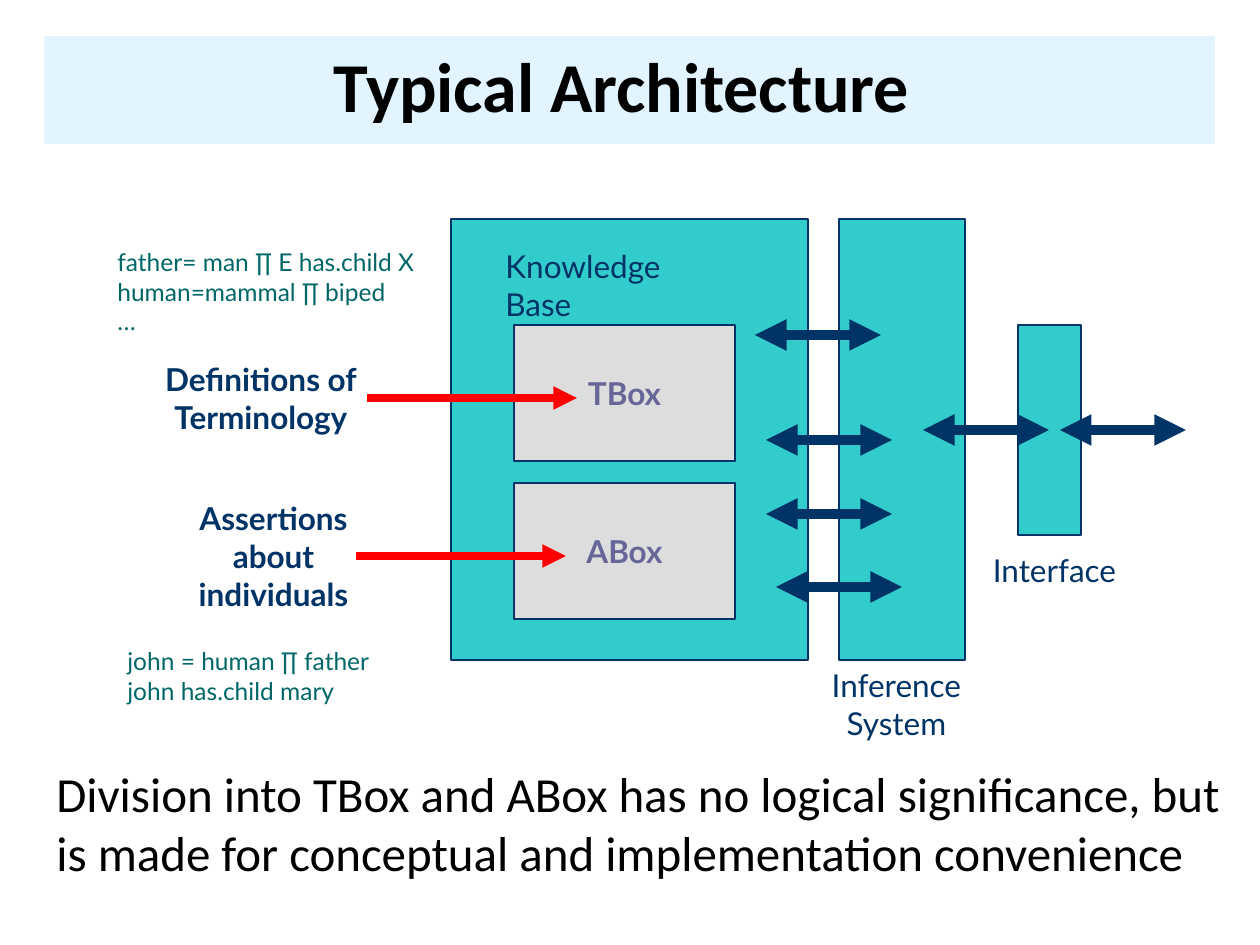
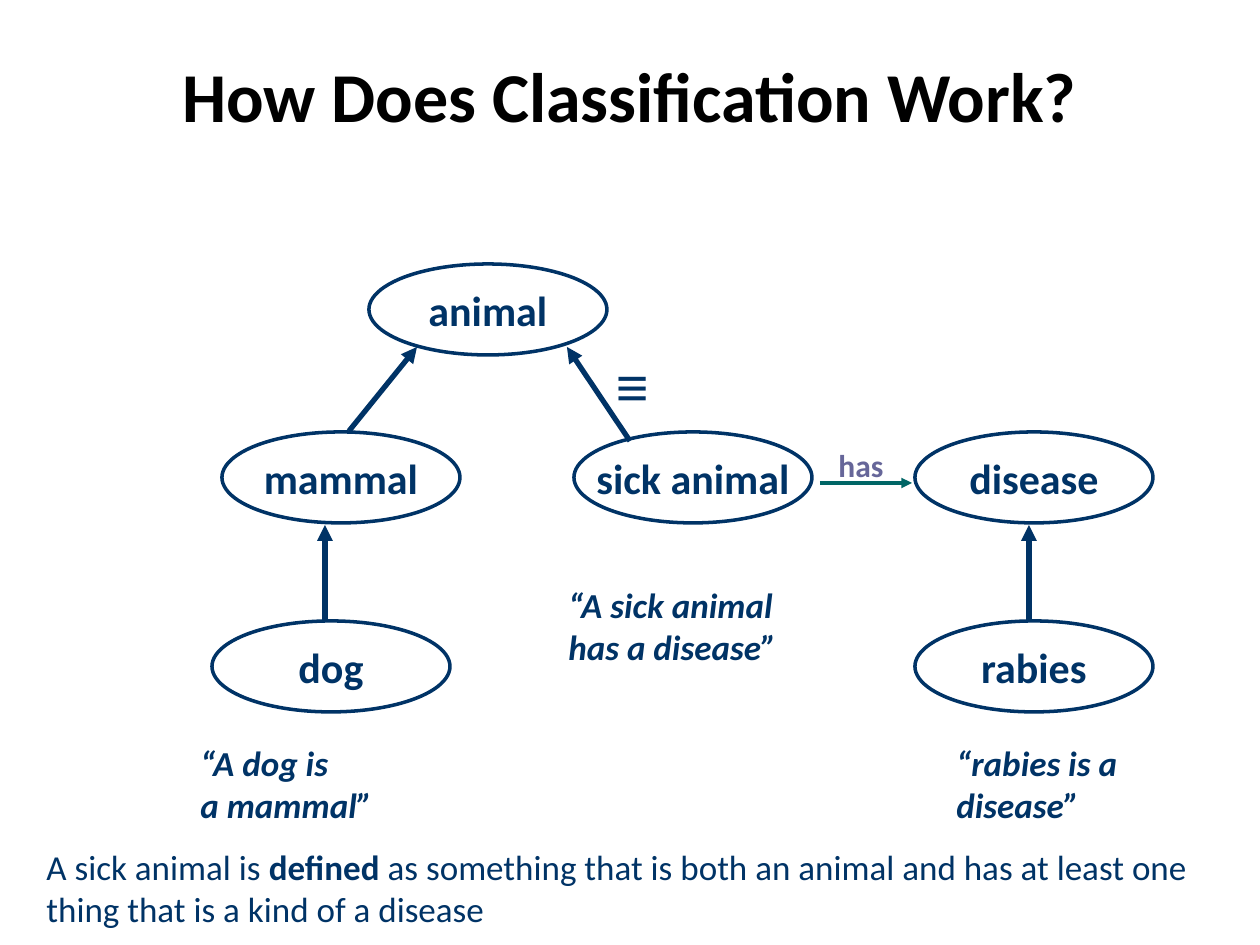
import pptx
import pptx.util
import pptx.dml.color
import pptx.enum.shapes
import pptx.enum.text
import pptx.oxml.ns
from lxml import etree


class Theme:
    navy = "003366"
    teal = "33CCCC"
    green = "006666"
    violet = "666699"
    red = "FF0000"
    grey = "DDDDDD"
    white = "FFFFFF"
    black = "000000"
    band = "E1F4FF"
    body = "Calibri"
    draw = "Lato"
    sign = "Arial"
    title, lead, symbol, node, quote, label, code = 40, 28, 32, 24, 20, 18, 14


px = pptx.util.Inches(1) // 126
rgb = pptx.dml.color.RGBColor.from_string
forms = pptx.enum.shapes.MSO_SHAPE
anchor = pptx.enum.text.MSO_ANCHOR
left, center = pptx.enum.text.PP_ALIGN.LEFT, pptx.enum.text.PP_ALIGN.CENTER


def write(shape, text, size, color, font, bold=False, align=left, slant=False):
    frame = shape.text_frame
    frame.word_wrap = True
    par = frame.paragraphs[0]
    for index, part in enumerate(text.split("**")):
        for row, line in enumerate(part.split("\n")):
            if row:
                par.add_line_break()
            run = par.add_run()
            run.text = line
            if index % 2:
                run.font.bold = True
    par.alignment = align
    par.font.size = pptx.util.Pt(size)
    par.font.name = font
    par.font.bold = bold
    par.font.italic = slant
    par.font.color.rgb = rgb(color)
    return par


def arrow(slide, x1, y1, x2, y2, color, width, ends=("tailEnd",)):
    line = slide.shapes.add_connector(
        pptx.enum.shapes.MSO_CONNECTOR.STRAIGHT, x1 * px, y1 * px, x2 * px, y2 * px)
    line.line.color.rgb = rgb(color)
    line.line.width = pptx.util.Pt(width)
    stroke = line.line._get_or_add_ln()
    for end in ends:
        etree.SubElement(stroke, pptx.oxml.ns.qn("a:" + end), type="triangle")
    etree.SubElement(line._element.spPr, pptx.oxml.ns.qn("a:effectLst"))


deck = pptx.Presentation()
deck.slide_width, deck.slide_height = 1260 * px, 945 * px

slides = []
for text, place in (("Typical Architecture ", anchor.MIDDLE),
                    ("How Does Classification Work?", anchor.BOTTOM)):
    slide = deck.slides.add_slide(deck.slide_layouts[5])
    title = slide.shapes.title
    title.left, title.top, title.width, title.height = 44 * px, 36 * px, 1171 * px, 108 * px
    par = write(title, text, Theme.title, Theme.black, Theme.body, True, center)
    par.line_spacing = 0.9
    title.text_frame.auto_size = pptx.enum.text.MSO_AUTO_SIZE.NONE
    title.text_frame.vertical_anchor = place
    slides.append(slide)
system, classes = slides

system.shapes.title.fill.solid()
system.shapes.title.fill.fore_color.rgb = rgb(Theme.band)

for x, y, wide, high, fill, text in (
        (451, 219, 357, 441, Theme.teal, ""),
        (514, 325, 221, 136, Theme.grey, "TBox"),
        (514, 483, 221, 136, Theme.grey, "ABox"),
        (839, 219, 126, 441, Theme.teal, ""),
        (1018, 325, 63, 210, Theme.teal, "")):
    box = system.shapes.add_shape(forms.RECTANGLE, x * px, y * px, wide * px, high * px)
    box.shadow.inherit = False
    box.fill.solid()
    box.fill.fore_color.rgb = rgb(fill)
    box.line.color.rgb = rgb(Theme.navy)
    box.line.width = pptx.util.Pt(0.75)
    if text:
        write(box, text, Theme.label, Theme.violet, Theme.draw, True, center)

for x, y in ((755, 335), (766, 440), (766, 514), (776, 587), (923, 430), (1060, 430)):
    arrow(system, x, y, x + 126, y, Theme.navy, 6, ("headEnd", "tailEnd"))
for x, y in ((356, 556), (367, 398)):
    arrow(system, x, y, x + 210, y, Theme.red, 4.5)

label = (Theme.label, Theme.navy, Theme.draw)
code = (Theme.code, Theme.green, Theme.draw)
quote = (Theme.quote, Theme.navy, Theme.body, True, left, True)
for slide, x, y, wide, high, text, style in (
        (system, 493, 241, 220, 88, "Knowledge Base", label),
        (system, 808, 660, 177, 88, "Inference\nSystem", label + (False, center)),
        (system, 969, 545, 171, 50, "Interface", label + (False, center)),
        (system, 142, 354, 238, 88, "Definitions of\nTerminology", label + (True, center)),
        (system, 175, 493, 197, 126, "Assertions\nabout\nindividuals", label + (True, center)),
        (system, 105, 241, 331, 101,
         "father= man ∏ E has.child X\nhuman=mammal ∏ biped\n…", code),
        (system, 115, 640, 276, 72, "john = human ∏ father\njohn has.child mary", code),
        (system, 44, 757, 1201, 131,
         "Division into TBox and ABox has no logical significance, but is made for "
         "conceptual and implementation convenience",
         (Theme.lead, Theme.black, Theme.body)),
        (classes, 808, 440, 106, 52, "has",
         (Theme.label, Theme.violet, Theme.body, True, center)),
        (classes, 188, 735, 222, 97, "“A dog is\na mammal”", quote),
        (classes, 556, 577, 260, 98, "“A sick animal has a disease”", quote),
        (classes, 944, 735, 212, 98, "“rabies is a disease”", quote),
        (classes, 34, 839, 1181, 97,
         "A sick animal is **defined** as something that is both an animal and has "
         "at least one thing that is a kind of a disease",
         (Theme.quote, Theme.navy, Theme.body, None)),
        (classes, 588, 345, 90, 81, "\u00a0≡",
         (Theme.symbol, Theme.navy, Theme.sign, True))):
    box = slide.shapes.add_textbox(x * px, y * px, wide * px, high * px)
    write(box, text, *style)

for x, y, text in ((369, 264, "animal"), (222, 432, "mammal"), (212, 621, "dog"),
                   (574, 432, "sick animal"), (915, 621, "rabies"), (915, 432, "disease")):
    node = classes.shapes.add_shape(forms.OVAL, x * px, y * px, 238 * px, 91 * px)
    node.shadow.inherit = False
    node.fill.solid()
    node.fill.fore_color.rgb = rgb(Theme.white)
    node.line.color.rgb = rgb(Theme.navy)
    node.line.width = pptx.util.Pt(2)
    write(node, text, Theme.node, Theme.navy, Theme.body, True, center)
    node.text_frame.word_wrap = False

for ends in ((349, 431, 417, 347), (630, 441, 567, 347),
             (325, 620, 325, 525), (1029, 620, 1029, 525)):
    arrow(classes, *ends, Theme.navy, 3)
arrow(classes, 820, 483, 912, 483, Theme.green, 2)

deck.save("out.pptx")
